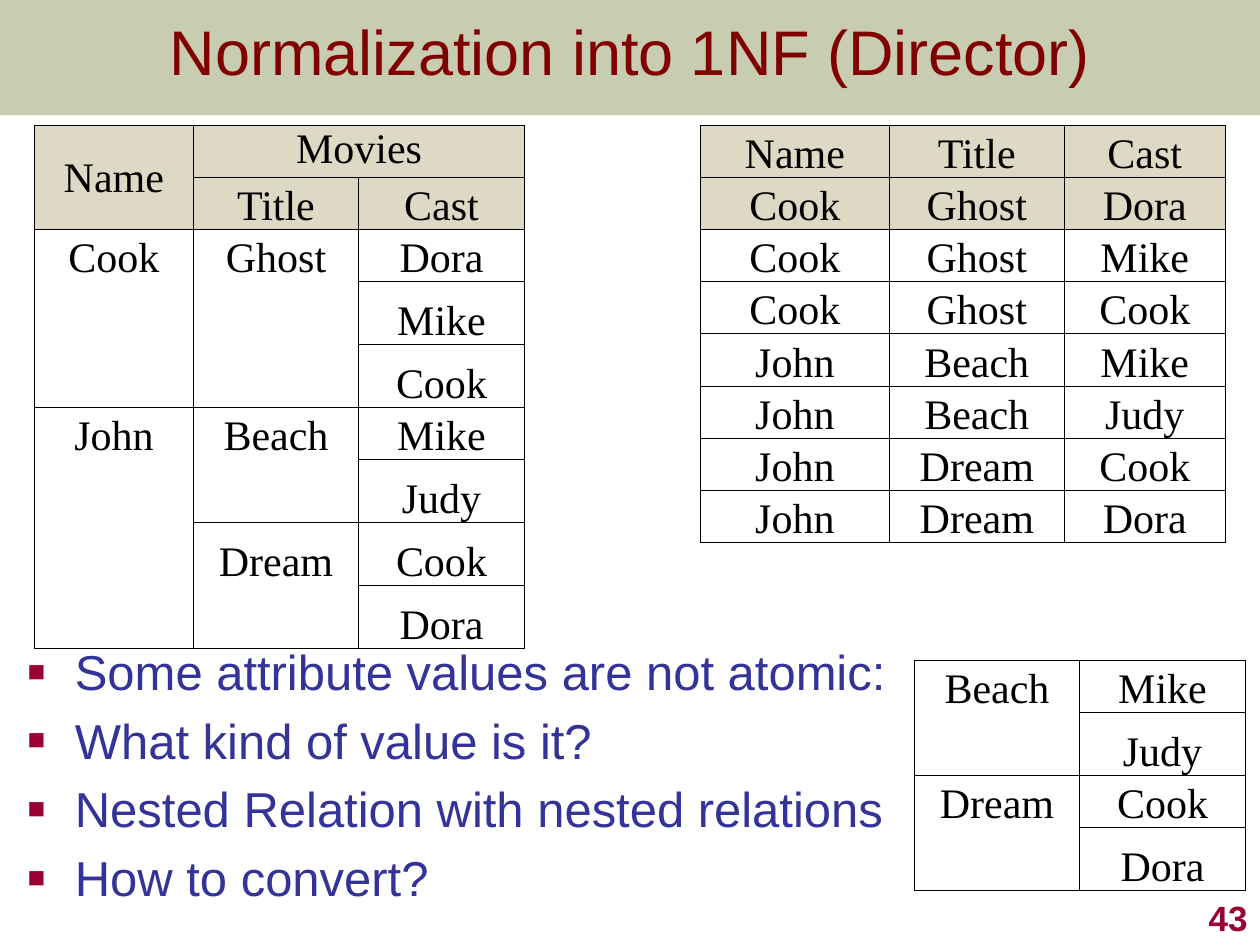
from pptx import Presentation
from pptx.dml.color import RGBColor
from pptx.enum.shapes import MSO_SHAPE
from pptx.enum.text import MSO_ANCHOR, MSO_AUTO_SIZE, PP_ALIGN
from pptx.oxml import parse_xml
from pptx.oxml.ns import nsdecls, qn
from pptx.util import Pt
from lxml.etree import SubElement

SAND, WHITE = "DDD9C4", "FFFFFF"
ROW_HEIGHT = 29.84
TITLE_FONT = {"name": "Arial", "size": Pt(36), "color": "800000"}
LIST_FONT = {"name": "Arial", "size": Pt(28), "color": "333399"}
CELL_FONT = {"name": "Times New Roman", "size": Pt(24), "color": "000000"}
NUMBER_FONT = {"name": "Arial", "size": Pt(20), "bold": True, "color": "990033"}

NESTED_ROWS = [
    ["Name", "Movies", ""],
    ["", "Title", "Cast"],
    ["Cook", "Ghost", "Dora"],
    ["", "", "Mike"],
    ["", "", "Cook"],
    ["John", "Beach", "Mike"],
    ["", "", "Judy"],
    ["", "Dream", "Cook"],
    ["", "", "Dora"],
]
FLAT_ROWS = [
    ["Name", "Title", "Cast"],
    ["Cook", "Ghost", "Dora"],
    ["Cook", "Ghost", "Mike"],
    ["Cook", "Ghost", "Cook"],
    ["John", "Beach", "Mike"],
    ["John", "Beach", "Judy"],
    ["John", "Dream", "Cook"],
    ["John", "Dream", "Dora"],
]
MOVIE_ROWS = [["Beach", "Mike"], ["", "Judy"], ["Dream", "Cook"], ["", "Dora"]]
QUESTIONS = [
    "Some attribute values are not atomic:",
    "What kind of value is it?",
    "Nested Relation with nested relations",
    "How to convert?",
]


def rgb(value):
    return RGBColor.from_string(value)


def set_attributes(target, values):
    for name, value in values.items():
        setattr(target, name, value)


def set_font(font, values):
    set_attributes(font, {k: v for k, v in values.items() if k != "color"})
    font.color.rgb = rgb(values["color"])


def place(shape, box):
    names = ("left", "top", "width", "height")
    set_attributes(shape, dict(zip(names, map(Pt, box))))


def add_header(slide, box, text):
    # Translucent band behind the title
    left, top, width, height = box
    band = slide.shapes.add_shape(MSO_SHAPE.RECTANGLE, *map(Pt, box))
    band.shadow.inherit = False
    band.fill.solid()
    band.fill.fore_color.rgb = rgb("677228")
    color = band.element.spPr.find(qn("a:solidFill"))[0]
    SubElement(color, qn("a:alpha"), val="36000")
    band.line.fill.background()

    # Title
    title = slide.shapes.title
    title.element.addprevious(band.element)
    place(title, (left, top, width, 57.6))
    frame = title.text_frame
    set_attributes(frame, {"text": text, "vertical_anchor": MSO_ANCHOR.MIDDLE,
                           "auto_size": MSO_AUTO_SIZE.NONE})
    frame.paragraphs[0].alignment = PP_ALIGN.CENTER
    set_font(frame.paragraphs[0].runs[0].font, TITLE_FONT)


def add_questions(slide, box, items):
    body = slide.placeholders[1]
    place(body, box)
    frame = body.text_frame
    set_attributes(frame, {"text": "\n".join(items), "margin_right": 0,
                           "vertical_anchor": MSO_ANCHOR.TOP,
                           "auto_size": MSO_AUTO_SIZE.NONE})
    frame.paragraphs[0].space_before = Pt(0)
    for paragraph in frame.paragraphs:
        properties = paragraph._p.get_or_add_pPr()
        properties.set("marL", str(Pt(27)))
        properties.set("indent", str(Pt(-27)))
        bullet_color = SubElement(properties, qn("a:buClr"))
        SubElement(bullet_color, qn("a:srgbClr"), val="990033")
        SubElement(properties, qn("a:buSzPct"), val="60000")
        SubElement(properties, qn("a:buFont"), typeface="Arial")
        SubElement(properties, qn("a:buChar"), char="■")
        set_font(paragraph.runs[0].font, LIST_FONT)


def set_borders(cell, hidden):
    properties = cell._tc.get_or_add_tcPr()
    for side in "LRTB":
        fill = ("<a:noFill/>" if side in hidden else
                '<a:solidFill><a:srgbClr val="000000"/></a:solidFill>')
        properties.append(parse_xml(
            f'<a:ln{side} {nsdecls("a")} w="{Pt(0.5)}">{fill}</a:ln{side}>'))


def add_relation(slide, left, top, widths, rows, header_rows=0, merges=()):
    """Each merge is (first cell, last cell, anchor)."""
    frame = slide.shapes.add_table(
        len(rows), len(widths), Pt(left), Pt(top),
        Pt(sum(widths)), Pt(ROW_HEIGHT * len(rows)))
    table = frame.table
    set_attributes(table, {"first_row": False, "horz_banding": False})
    for column, width in zip(table.columns, widths):
        column.width = Pt(width)
    for row in table.rows:
        row.height = Pt(ROW_HEIGHT)
    for first, last, _ in merges:
        table.cell(*first).merge(table.cell(*last))
    anchors = {first: anchor for first, _, anchor in merges}

    def continues(r, c):
        """True for an empty cell that carries on the value above it."""
        return r < len(rows) and not rows[r][c] and not table.cell(r, c).is_spanned

    for r, values in enumerate(rows):
        for c, text in enumerate(values):
            cell = table.cell(r, c)
            hidden = "T" * continues(r, c) + "B" * continues(r + 1, c)
            set_borders(cell, hidden)
            cell.fill.solid()
            cell.fill.fore_color.rgb = rgb(SAND if r < header_rows else WHITE)
            if continues(r, c):
                # Padding that gives these rows their extra height
                set_attributes(cell, {"margin_top": Pt(7), "margin_bottom": Pt(7)})
                continue
            set_attributes(cell, {
                "margin_left": Pt(0.7), "margin_right": Pt(0.7),
                "margin_top": Pt(0.7), "margin_bottom": 0,
                "vertical_anchor": anchors.get((r, c), MSO_ANCHOR.BOTTOM)})
            if text:
                cell.text = text
                paragraph = cell.text_frame.paragraphs[0]
                paragraph.alignment = PP_ALIGN.CENTER
                set_font(paragraph.runs[0].font, CELL_FONT)


def add_page_number(slide, box, number):
    frame = slide.shapes.add_textbox(*map(Pt, box)).text_frame
    set_attributes(frame, {"text": number, "word_wrap": True,
                           "vertical_anchor": MSO_ANCHOR.BOTTOM})
    frame.paragraphs[0].alignment = PP_ALIGN.RIGHT
    set_font(frame.paragraphs[0].runs[0].font, NUMBER_FONT)


def main():
    presentation = Presentation()
    set_attributes(presentation, {"slide_width": Pt(720), "slide_height": Pt(540)})
    slide = presentation.slides.add_slide(presentation.slide_layouts[1])

    add_header(slide, (0, 0, 720, 66), "Normalization into 1NF (Director)")
    add_questions(slide, (8.6, 363, 662, 163), QUESTIONS)
    # Nested relation, its flat form, and the inner relation of one row
    add_relation(slide, 19.6, 71.5, (91, 94.3, 94.9), NESTED_ROWS, 2,
                 [((0, 0), (1, 0), MSO_ANCHOR.MIDDLE),
                  ((0, 1), (0, 2), MSO_ANCHOR.TOP)])
    add_relation(slide, 400.2, 71.5, (108, 100, 92), FLAT_ROWS, 2)
    add_relation(slide, 522.6, 377.4, (94.3, 94.9), MOVIE_ROWS)
    add_page_number(slide, (570, 504, 150, 36), "43")

    presentation.save("out.pptx")


if __name__ == "__main__":
    main()
